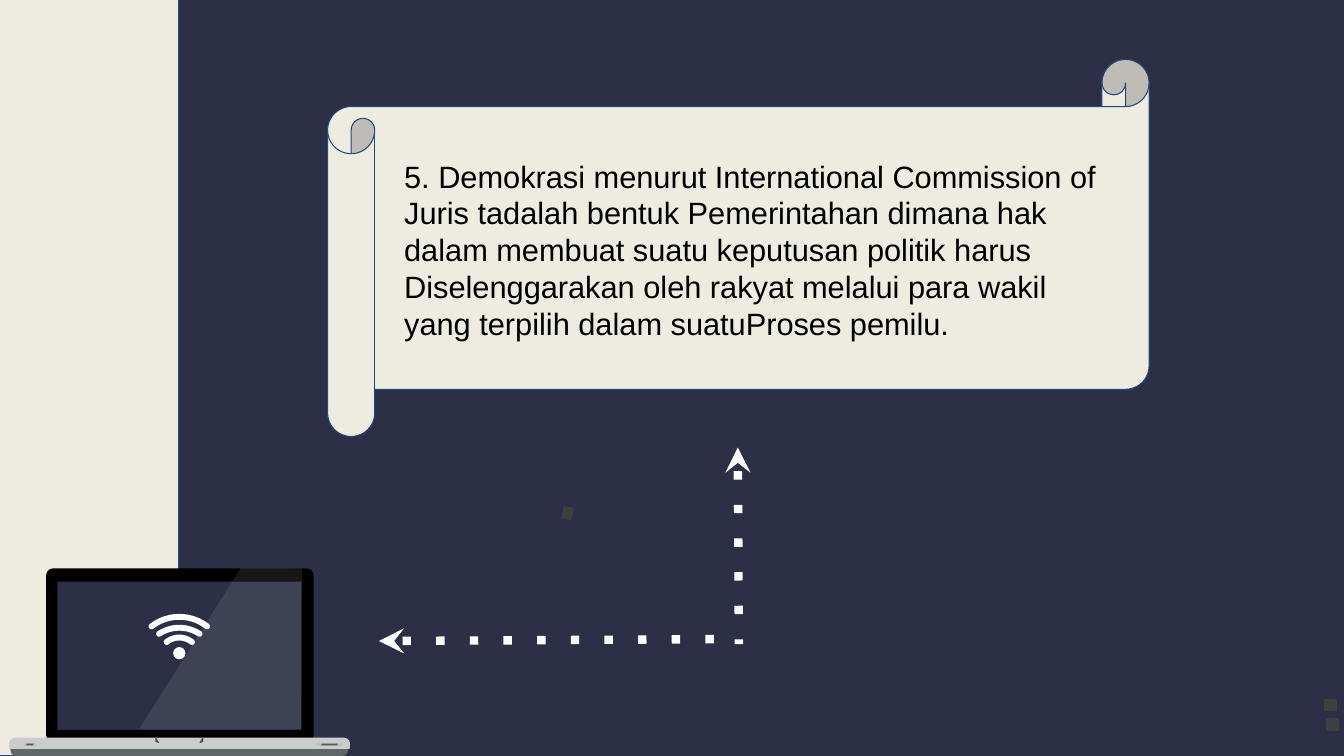
from dataclasses import dataclass
from math import asin, cos, pi, sin

from lxml import etree
from pptx import Presentation
from pptx.dml.color import RGBColor
from pptx.enum.shapes import MSO_CONNECTOR, MSO_SHAPE
from pptx.enum.text import MSO_ANCHOR, MSO_AUTO_SIZE, PP_ALIGN
from pptx.oxml.ns import qn
from pptx.util import Pt

RECTANGLE = MSO_SHAPE.RECTANGLE
ROUNDED = MSO_SHAPE.ROUNDED_RECTANGLE
TOP_ROUNDED = MSO_SHAPE.ROUND_2_SAME_RECTANGLE
OVAL = MSO_SHAPE.OVAL
SCROLL = MSO_SHAPE.HORIZONTAL_SCROLL
STRAIGHT = MSO_CONNECTOR.STRAIGHT
ELBOW = MSO_CONNECTOR.ELBOW
LEFT = PP_ALIGN.LEFT
TOP = MSO_ANCHOR.TOP
NO_AUTOFIT = MSO_AUTO_SIZE.NONE


@dataclass(frozen=True)
class Theme:
    """Colours and type of the slide."""
    navy: str = "2C2F45"
    cream: str = "EEECE1"
    outline: str = "1F497D"
    black: str = "000000"
    white: str = "FFFFFF"
    charcoal: str = "3F3F3F"
    base: str = "CCCCCC"
    base_shade: str = "5F6767"
    port: str = "BFBFBF"
    slot: str = "595959"
    notch: str = "4D4D4D"
    font: str = "Arial"
    body_size: float = 22


def apply_format(target, values):
    """Set every attribute named in values on target."""
    for name, value in values.items():
        setattr(target, name, value)


def wave_band(centre, top, half_width, sag, half_thickness=2.1):
    """Return the outline of an arched band with round ends."""
    radius = (half_width ** 2 + sag ** 2) / (2 * sag)
    sweep = asin(half_width / radius)
    middle = top + radius
    steps = [index / 12 for index in range(13)]

    def polar(x, y, distance, angle):
        return x + distance * sin(angle), y - distance * cos(angle)

    right = polar(centre, middle, radius, sweep)
    left = polar(centre, middle, radius, -sweep)
    outer = [polar(centre, middle, radius + half_thickness, sweep * (2 * step - 1)) for step in steps]
    right_cap = [polar(*right, half_thickness, sweep + pi * step) for step in steps]
    inner = [polar(centre, middle, radius - half_thickness, sweep * (1 - 2 * step)) for step in steps]
    left_cap = [polar(*left, half_thickness, pi - sweep + pi * step) for step in steps]
    return outer + right_cap + inner + left_cap


class SlideBuilder:
    """Draws styled elements on the current slide."""

    def __init__(self, presentation, theme):
        """Add a slide and paint its background."""
        self.theme = theme
        self.slide = presentation.slides.add_slide(presentation.slide_layouts[1])
        title = self.slide.shapes.title.element
        title.getparent().remove(title)
        self.paint(self.slide.background.fill, theme.navy)

    def paint(self, fill, colour):
        """Make a fill solid in one colour."""
        fill.solid()
        fill.fore_color.rgb = RGBColor.from_string(colour)

    def finish(self, shape, colour, outlined=False, alpha=None):
        """Style the fill, outline and shadow of a shape."""
        shape.shadow.inherit = False
        self.paint(shape.fill, colour)
        if alpha is not None:
            colour_node = shape.element.spPr.find(f".//{qn('a:srgbClr')}")
            etree.SubElement(colour_node, qn("a:alpha"), val=str(alpha * 1000))
        if outlined:
            self.paint(shape.line.fill, self.theme.outline)
            shape.line.width = Pt(0.75)
        else:
            shape.line.fill.background()

    def preset(self, kind, box, colour, adjustments=(), outlined=False):
        """Add a preset shape."""
        shape = self.slide.shapes.add_shape(kind, *map(Pt, box))
        for index, value in enumerate(adjustments):
            shape.adjustments[index] = value
        self.finish(shape, colour, outlined)

    def outline(self, contours, colour, alpha=None):
        """Add a filled freeform made of closed contours."""
        contours = [[(Pt(x), Pt(y)) for x, y in contour] for contour in contours]
        builder = self.slide.shapes.build_freeform(*contours[0][0])
        for index, contour in enumerate(contours):
            if index:
                builder.move_to(*contour[0])
            builder.add_line_segments(contour[1:], close=True)
        self.finish(builder.convert_to_shape(), colour, alpha=alpha)

    def dotted(self, start, end, colour, width, arrow=False, kind=STRAIGHT):
        """Add a dotted connector, with an optional arrowhead at its start."""
        connector = self.slide.shapes.add_connector(kind, *map(Pt, start + end))
        self.paint(connector.line.fill, colour)
        connector.line.width = Pt(width)
        properties = connector.element.spPr
        line = properties.get_or_add_ln()
        etree.SubElement(line, qn("a:prstDash"), val="dot")
        if arrow:
            etree.SubElement(line, qn("a:headEnd"), type="stealth")
        etree.SubElement(properties, qn("a:effectLst"))
        return connector

    def dotted_hook(self, start, end, colour, width, bend):
        """Add a dotted elbow turned upward, bent beyond its ends."""
        properties = self.dotted(start, end, colour, width, kind=ELBOW).element.spPr
        properties.find(qn("a:xfrm")).set("rot", str(270 * 60000))
        guides = properties.find(qn("a:prstGeom")).find(qn("a:avLst"))
        etree.SubElement(guides, qn("a:gd"), name="adj1", fmla=f"val {round(bend * 100000)}")

    def body(self, text, box):
        """Fill the body placeholder and bring it to the front."""
        placeholder = self.slide.placeholders[1]
        apply_format(placeholder, dict(zip(("left", "top", "width", "height"), map(Pt, box))))
        frame = placeholder.text_frame
        frame.text = text
        margins = {f"margin_{side}": Pt(7.2) for side in ("left", "top", "right", "bottom")}
        apply_format(frame, {"word_wrap": True, "auto_size": NO_AUTOFIT, "vertical_anchor": TOP, **margins})
        paragraph = frame.paragraphs[0]
        apply_format(paragraph, {"alignment": LEFT, "space_before": Pt(0), "line_spacing": 1.0})
        apply_format(paragraph.font, {"name": self.theme.font, "size": Pt(self.theme.body_size)})
        paragraph.font.color.rgb = RGBColor.from_string(self.theme.black)
        properties = paragraph._p.get_or_add_pPr()
        apply_format_xml = {"marL": "0", "indent": "0"}
        for name, value in apply_format_xml.items():
            properties.set(name, value)
        bullet = etree.Element(qn("a:buNone"))
        properties.insert_element_before(bullet, "a:tabLst", "a:defRPr", "a:extLst")
        self.slide.shapes.element.append(placeholder.element)


def draw_laptop(builder, theme):
    """Draw the laptop with its wireless symbol."""
    centre = 128.1
    builder.preset(TOP_ROUNDED, (7.5, 532, 241, 8), theme.base_shade, (0, 0.5))
    builder.preset(ROUNDED, (33, 406, 191, 124), theme.black, (0.04,))
    builder.preset(RECTANGLE, (41, 415.4, 174.4, 106), theme.navy)
    builder.preset(TOP_ROUNDED, (6.5, 527, 243.5, 8), theme.base, (0.5, 0.1))
    notch = [(-17.2, 527), (-16.5, 527), (-14.4, 530.6), (-15.1, 530.6), (-17, 529.9)]
    builder.outline([[(centre + side * x, y) for x, y in notch] for side in (1, -1)], theme.notch)
    for middle, port_width, slot_width in ((21.4, 8.6, 5), (235.4, 18.7, 11.5)):
        for width, top, height, colour in ((port_width, 530.6, 2.2, theme.port),
                                           (slot_width, 531.2, 1.2, theme.slot)):
            builder.preset(ROUNDED, (middle - width / 2, top, width, height), colour, (0.28,))
    glare = [(172, 405.7), (215.6, 406), (215.3, 520.8), (99.4, 520.8)]
    builder.outline([glare], theme.white, alpha=9)
    waves = ((440.6, 19.8, 6.8), (448.4, 14.4, 4.3), (455.4, 9, 3.2))
    builder.outline([wave_band(centre, *wave) for wave in waves], theme.white)
    builder.preset(OVAL, (centre - 4.4, 462.2, 8.8, 8.8), theme.white)


def main():
    """Build and save the slide."""
    presentation = Presentation()
    apply_format(presentation, {"slide_width": Pt(960), "slide_height": Pt(540)})
    theme = Theme()
    builder = SlideBuilder(presentation, theme)
    builder.preset(SCROLL, (234, 42.5, 586.8, 269.3), theme.cream, (0.125,), outlined=True)
    builder.preset(RECTANGLE, (0, 0, 127.5, 540), theme.cream, outlined=True)
    draw_laptop(builder, theme)
    builder.dotted_hook((949, 496.1), (953.3, 497.5), theme.charcoal, 9, -6.69)
    builder.dotted((401.8, 365.8), (409, 367.2), theme.charcoal, 9)
    builder.dotted((527, 319.7), (527.8, 460.1), theme.white, 6, arrow=True)
    builder.dotted((270.7, 457.9), (519.1, 456.5), theme.white, 6, arrow=True)
    builder.body(
        "5. Demokrasi menurut International Commission of Juris tadalah bentuk Pemerintahan "
        "dimana hak dalam membuat suatu keputusan politik harus Diselenggarakan oleh rakyat "
        "melalui para wakil yang terpilih dalam suatuProses pemilu.",
        (281.5, 105.1, 514.8, 147.6))
    presentation.save("out.pptx")


if __name__ == "__main__":
    main()
